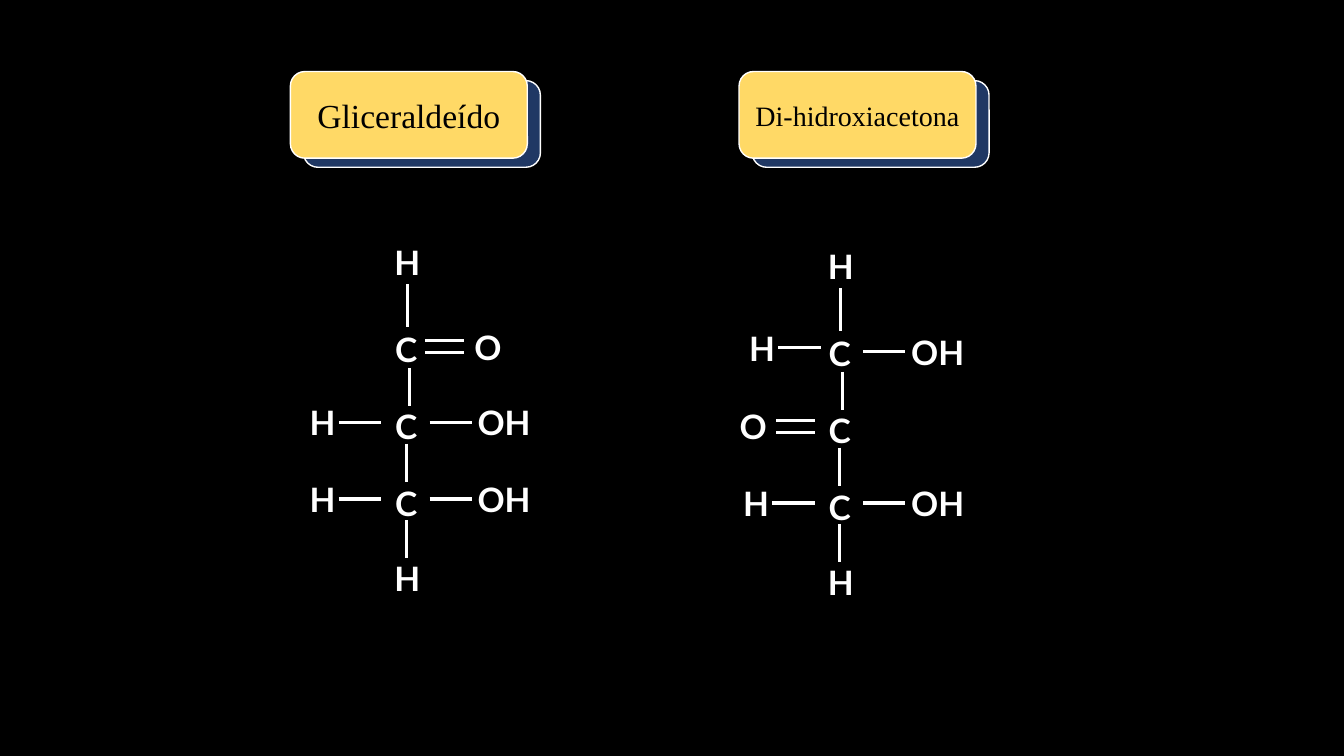
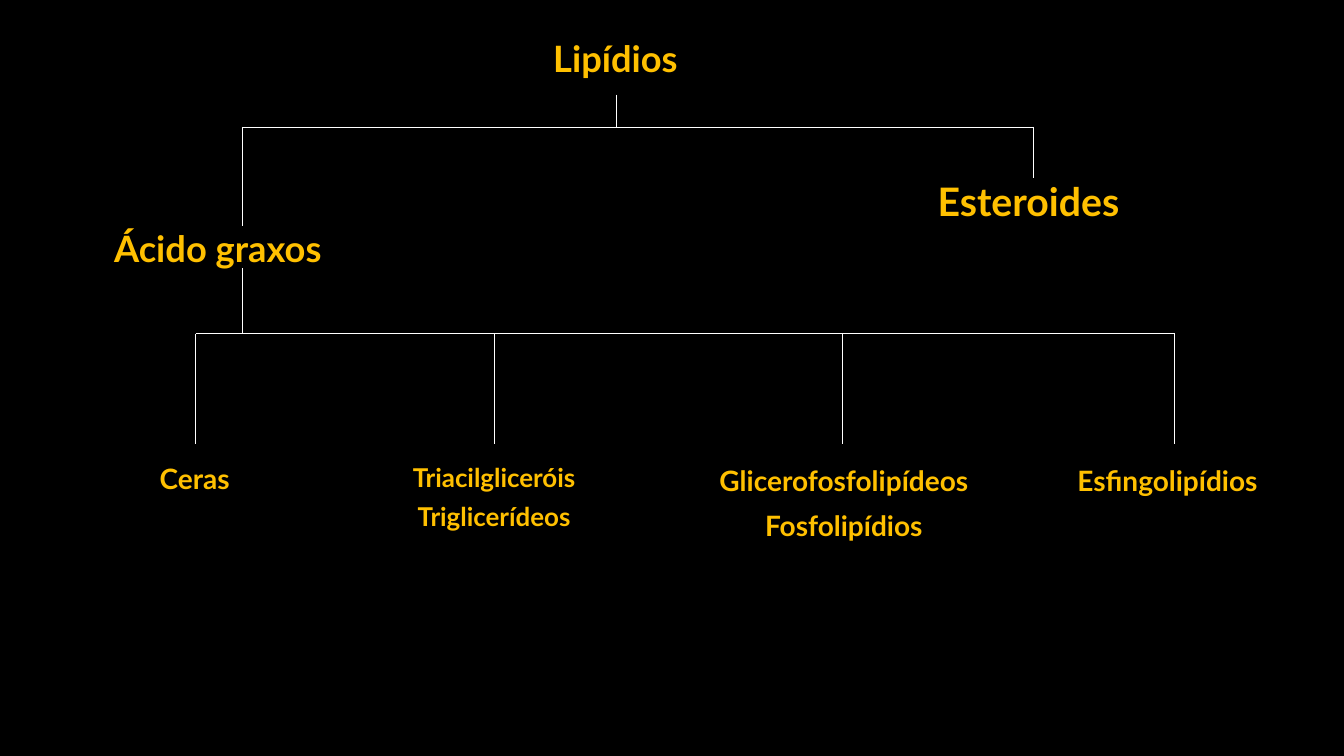
from pptx import Presentation
from pptx.dml.color import RGBColor
from pptx.enum.shapes import MSO_CONNECTOR as CONN, MSO_SHAPE as SHAPE
from pptx.enum.text import MSO_ANCHOR as ANCHOR, PP_ALIGN as ALIGN
from pptx.oxml.ns import qn
from pptx.util import Inches, Pt
from lxml import etree

COLORS = {
    "background": "000000",
    "line": "FFFFFF",
    "atom": "FFFFFF",
    "tag": "FFD966",
    "tag_back": "203864",
    "tag_text": "000000",
    "node": "FFC000",
}
FONT = "Lato"
TAG_FONT = "Times New Roman"

CARBONS = (0.86, 1.63, 2.39)
CHAIN_ENDS = (0, 3.14)
CHAIN_BONDS = (
    (0.01, 0.22, 0.64),
    (0.03, 1.05, 1.43),
    (0, 1.8, 2.18),
    (0, 2.56, 2.94),
)
ARMS = {
    "H-": ("H", -0.83, -0.67, -0.25, (0,)),
    "-OH": ("OH", 0.97, 0.23, 0.65, (0,)),
    "=O": ("O", 0.81, 0.19, 0.57, (-0.06, 0.06)),
    "O=": ("O", -0.86, -0.63, -0.25, (-0.06, 0.06)),
}


def color(name):
    return RGBColor.from_string(COLORS[name])


def add_run(p, text, size, name, font=FONT, bold=True):
    p.alignment = ALIGN.CENTER
    r = p.add_run()
    r.text = text
    r.font.name = font
    r.font.size = Pt(size)
    r.font.bold = bold
    r.font.color.rgb = color(name)


def add_box(s, cx, top, width, height):
    sp = s.shapes.add_textbox(Inches(cx - width / 2), Inches(top),
                              Inches(width), Inches(height))
    sp.text_frame.word_wrap = True
    return sp


def add_line(s, x1, y1, x2, y2, width):
    ln = s.shapes.add_connector(CONN.STRAIGHT, Inches(x1), Inches(y1),
                                Inches(x2), Inches(y2))
    ln.line.color.rgb = color("line")
    ln.line.width = Pt(width)
    etree.SubElement(ln._element.spPr, qn("a:effectLst"))


def add_card(s, x, y, fill):
    sp = s.shapes.add_shape(SHAPE.ROUNDED_RECTANGLE, Inches(x), Inches(y),
                            Inches(2.35), Inches(0.86))
    sp.shadow.inherit = False
    sp.fill.solid()
    sp.fill.fore_color.rgb = color(fill)
    sp.line.color.rgb = color("line")
    sp.line.width = Pt(1)
    return sp


def add_tag(s, x, text, size):
    y = 0.71
    add_card(s, x + 0.13, y + 0.09, "tag_back")
    tf = add_card(s, x, y, "tag").text_frame
    tf.vertical_anchor = ANCHOR.MIDDLE
    add_run(tf.paragraphs[0], text, size, "tag_text", TAG_FONT, False)


def add_atom(s, x, y, symbol):
    sp = add_box(s, x, y - 0.25, 0.8, 0.5)
    add_run(sp.text_frame.paragraphs[0], symbol, 24, "atom")


def add_bond(s, x1, y1, x2, y2):
    add_line(s, x1, y1, x2, y2, 2.25)


def add_molecule(s, x, y, arms):
    for dy in CHAIN_ENDS:
        add_atom(s, x + 0.01, y + dy, "H")
    for dy in CARBONS:
        add_atom(s, x, y + dy, "C")
    for dx, start, end in CHAIN_BONDS:
        add_bond(s, x + dx, y + start, x + dx, y + end)
    for kind, shift, dy in arms:
        symbol, dx, start, end, offsets = ARMS[kind]
        left = x + shift
        add_atom(s, left + dx, y + dy, symbol)
        for offset in offsets:
            bond_y = y + dy + offset
            add_bond(s, left + start, bond_y, left + end, bond_y)


def fill_node(tf, lines, size, spacing=0.9):
    for i, text in enumerate(lines):
        p = tf.add_paragraph() if i else tf.paragraphs[0]
        p.line_spacing = spacing
        p.space_before = Pt(10 if i else 0)
        add_run(p, text, size, "node")


def add_node(s, cx, top, width, height, lines, size, spacing=0.9):
    sp = add_box(s, cx, top, width, height)
    fill_node(sp.text_frame, lines, size, spacing)


def add_root(s, text):
    sp = s.shapes.title
    sp.left, sp.top = Inches(5.33), Inches(0.36)
    sp.width, sp.height = Inches(1.55), Inches(0.58)
    sp.text_frame.vertical_anchor = ANCHOR.TOP
    fill_node(sp.text_frame, [text], 25.9)


def add_fork(s, stem_x, stem_y, bar_y, drops):
    add_line(s, stem_x, stem_y, stem_x, bar_y, 0.5)
    add_line(s, drops[0][0], bar_y, drops[-1][0], bar_y, 0.5)
    for x, end_y in drops:
        add_line(s, x, bar_y, x, end_y, 0.5)


def build_trioses(prs):
    s = prs.slides.add_slide(prs.slide_layouts[6])
    add_tag(s, 2.88, "Gliceraldeído", 24)
    add_tag(s, 7.33, "Di-hidroxiacetona", 20)
    add_molecule(s, 4.03, 2.6, [
        ("=O", 0, 0.84),
        ("H-", 0, 1.59), ("-OH", 0, 1.59),
        ("H-", 0, 2.35), ("-OH", 0, 2.35),
    ])
    add_molecule(s, 8.33, 2.64, [
        ("H-", 0.06, 0.81), ("-OH", 0, 0.85),
        ("O=", 0, 1.59),
        ("H-", 0, 2.35), ("-OH", 0, 2.35),
    ])


def build_lipids(prs):
    s = prs.slides.add_slide(prs.slide_layouts[5])
    add_root(s, "Lipídios")
    add_fork(s, 6.11, 0.94, 1.26, [(2.4, 2.24), (10.25, 1.77)])
    add_fork(s, 2.4, 2.66, 3.31,
             [(x, 4.4) for x in (1.94, 4.9, 8.35, 11.65)])
    add_node(s, 2.16, 2.24, 2.32, 0.58, ["Ácido graxos"], 25.9)
    add_node(s, 10.2, 1.76, 2.32, 0.58, ["Esteroides"], 28)
    add_node(s, 1.93, 4.57, 2.32, 0.58, ["Ceras"], 20)
    add_node(s, 4.9, 4.59, 2.74, 0.77,
             ["Triacilgliceróis", "Triglicerídeos"], 18.5, 0.8)
    add_node(s, 8.37, 4.59, 2.87, 1.09,
             ["Glicerofosfolipídeos", "Fosfolipídios"], 20)
    add_node(s, 11.58, 4.59, 2.74, 0.58, ["Esfingolipídios"], 20)


def main():
    prs = Presentation()
    prs.slide_width, prs.slide_height = Inches(13.33), Inches(7.5)
    fill = prs.slide_master.background.fill
    fill.solid()
    fill.fore_color.rgb = color("background")
    build_trioses(prs)
    build_lipids(prs)
    prs.save("out.pptx")


if __name__ == "__main__":
    main()
